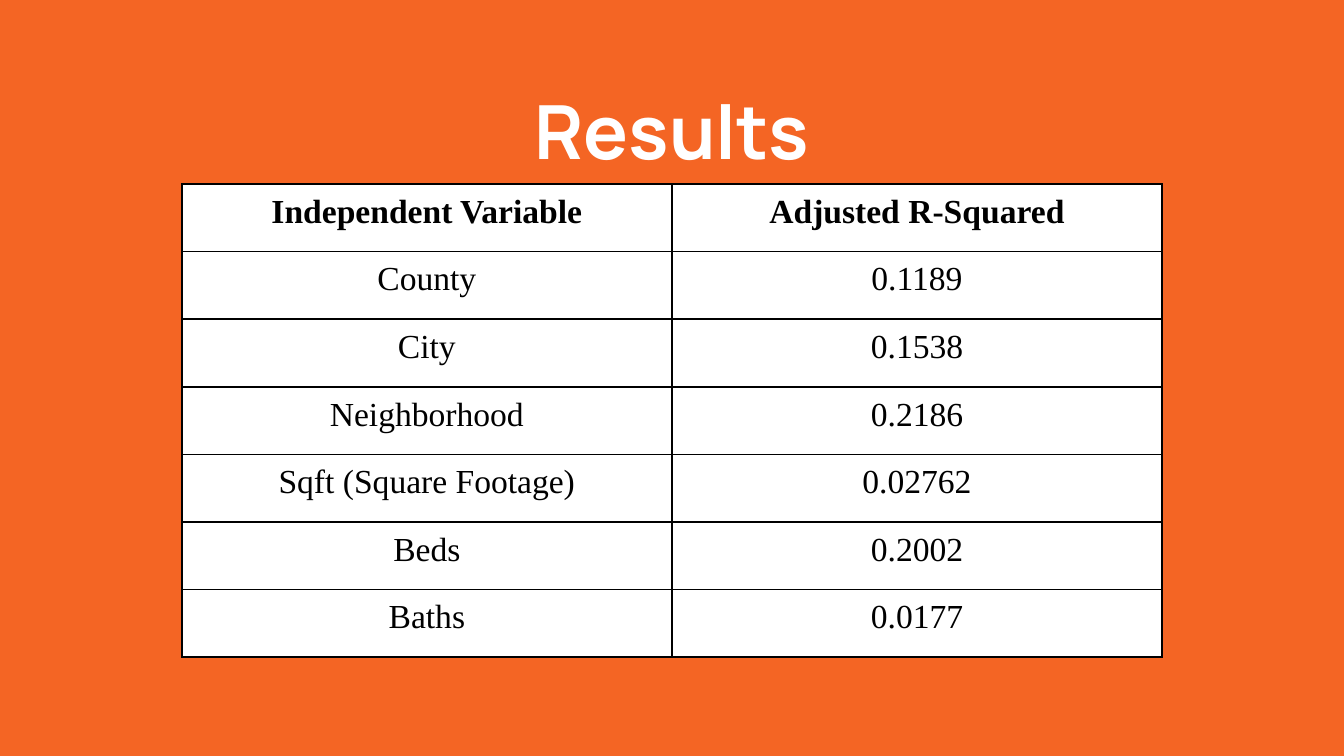
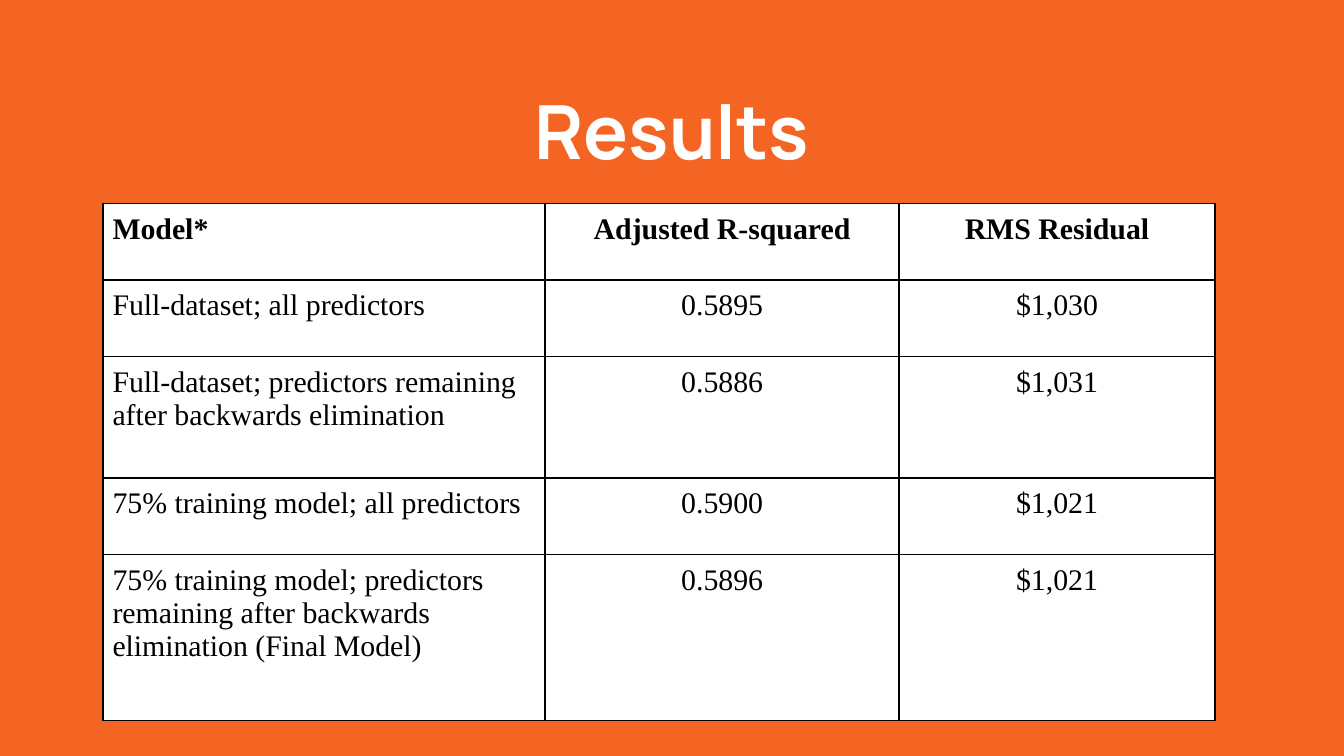
"""Build two results slides, each with a title and a table."""
from lxml import etree
from pptx import Presentation
from pptx.dml.color import RGBColor
from pptx.enum import text
from pptx.oxml import ns
from pptx.util import Pt

ORANGE = RGBColor(0xF4, 0x65, 0x24)
WHITE = RGBColor(0xFF, 0xFF, 0xFF)
BLACK = RGBColor(0, 0, 0)
TITLE_FONT = "Manrope"
TABLE_FONT = "Times New Roman"
TITLE_BOX = (155.5, 38.2, 409, 60.5)
TITLE_INSET = 7.2
CELL_INSET = 5
CENTER, LEFT = text.PP_ALIGN.CENTER, text.PP_ALIGN.LEFT

VARIABLES = [
    ("Independent Variable", "Adjusted R-Squared"),
    ("County", "0.1189"),
    ("City", "0.1538"),
    ("Neighborhood", "0.2186"),
    ("Sqft (Square Footage)", "0.02762"),
    ("Beds", "0.2002"),
    ("Baths", "0.0177"),
]
MODELS = [
    ("Model*", "Adjusted R-squared", "RMS Residual"),
    ("Full-dataset; all predictors", "0.5895", "$1,030"),
    ("Full-dataset; predictors remaining after backwards elimination", "0.5886", "$1,031"),
    ("75% training model; all predictors", "0.5900", "$1,021"),
    ("75% training model; predictors remaining after backwards elimination (Final Model)",
     "0.5896", "$1,021"),
]


def set_insets(frame, inset):
    """Give a text frame or cell the same margin on every side."""
    frame.margin_left = frame.margin_top = Pt(inset)
    frame.margin_right = frame.margin_bottom = Pt(inset)


def style_paragraph(p, font, size, color, bold, align):
    """Set the alignment and font of a paragraph."""
    p.alignment = align
    p.font.name = font
    p.font.size = Pt(size)
    p.font.bold = bold
    p.font.color.rgb = color


def add_borders(cell):
    """Draw a thin black line on all four sides of a cell."""
    props = cell._tc.get_or_add_tcPr()
    for index, side in enumerate(("lnL", "lnR", "lnT", "lnB")):
        line = etree.Element(ns.qn(f"a:{side}"), w=str(Pt(1)))
        fill = etree.SubElement(line, ns.qn("a:solidFill"))
        etree.SubElement(fill, ns.qn("a:srgbClr"), val=str(BLACK))
        props.insert(index, line)


def add_title(s, box, title):
    """Place and format the slide title in its box."""
    sp = s.shapes.title
    sp.left, sp.top, sp.width, sp.height = map(Pt, box)
    tf = sp.text_frame
    tf.text = title
    tf.word_wrap = True
    tf.auto_size = text.MSO_AUTO_SIZE.NONE
    tf.vertical_anchor = text.MSO_ANCHOR.TOP
    set_insets(tf, TITLE_INSET)
    style_paragraph(tf.paragraphs[0], TITLE_FONT, 40, WHITE, True, CENTER)


def add_results_table(s, origin, widths, heights, rows, size, first_align):
    """Add a bordered white table with a bold heading row."""
    frame = s.shapes.add_table(len(rows), len(widths), *map(Pt, origin),
                               Pt(sum(widths)), Pt(sum(heights)))
    table = frame.table
    table.first_row = table.horz_banding = False
    for column, width in zip(table.columns, widths):
        column.width = Pt(width)
    for i, (row, height) in enumerate(zip(rows, heights)):
        table.rows[i].height = Pt(height)
        for j, value in enumerate(row):
            cell = table.cell(i, j)
            cell.text = value
            cell.fill.solid()
            cell.fill.fore_color.rgb = WHITE
            set_insets(cell, CELL_INSET)
            add_borders(cell)
            style_paragraph(cell.text_frame.paragraphs[0], TABLE_FONT, size, BLACK,
                            i == 0, CENTER if j else first_align)


def add_results_slide(prs, **table):
    """Add a title-only slide holding one results table."""
    s = prs.slides.add_slide(prs.slide_layouts[5])
    add_title(s, TITLE_BOX, "Results")
    add_results_table(s, **table)


def main():
    """Build and save the presentation."""
    prs = Presentation()
    prs.slide_width, prs.slide_height = Pt(720), Pt(405)
    background = prs.slide_master.background.fill
    background.solid()
    background.fore_color.rgb = ORANGE
    add_results_slide(prs, origin=(97.4, 98.5), widths=[262.6] * 2,
                      heights=[36.25] * len(VARIABLES), rows=VARIABLES,
                      size=18, first_align=CENTER)
    add_results_slide(prs, origin=(55.3, 109), widths=[236.8, 189.6, 169.2],
                      heights=[41, 41, 65, 41, 89], rows=MODELS,
                      size=16, first_align=LEFT)
    prs.save("out.pptx")


if __name__ == "__main__":
    main()
